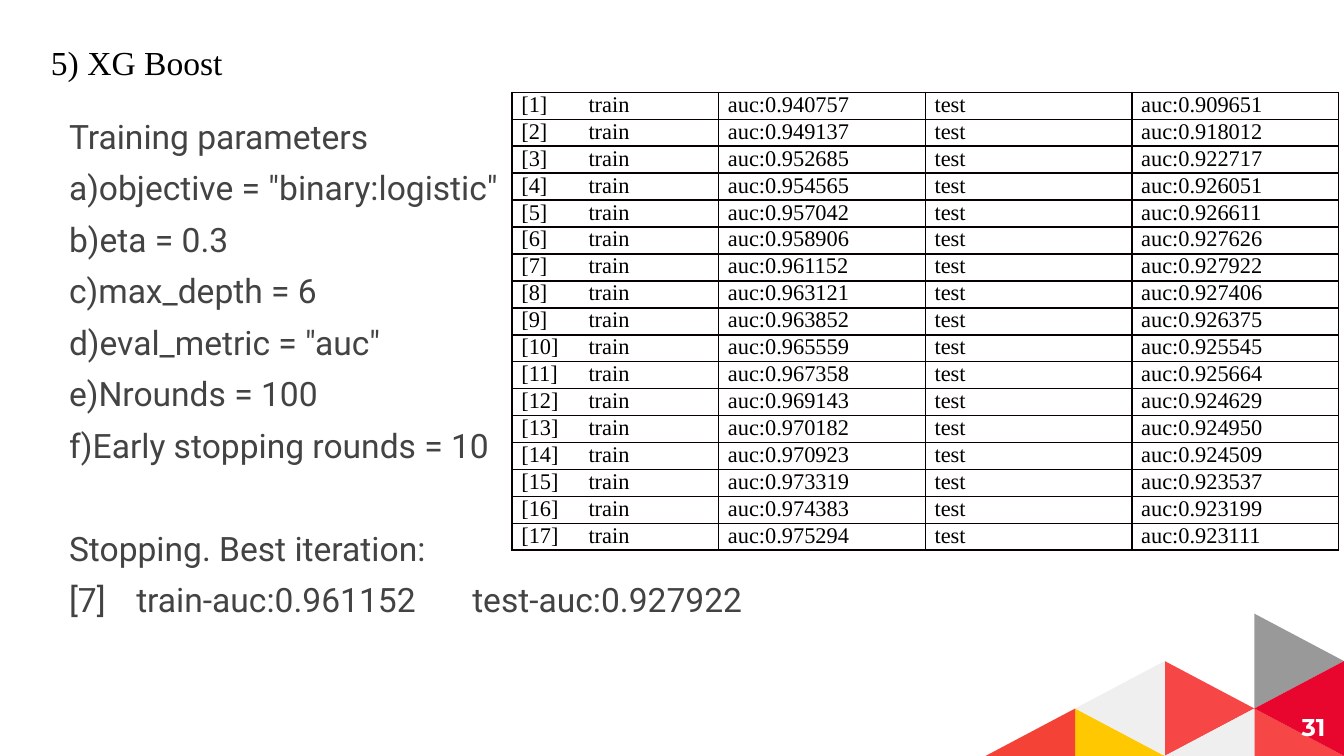
"""Build the boosted-tree training slide."""
from dataclasses import dataclass

import pptx
import pptx.dml.color
import pptx.enum.text
import pptx.oxml
import pptx.oxml.ns
import pptx.util

Pt = pptx.util.Pt
Align = pptx.enum.text.PP_ALIGN
Anchor = pptx.enum.text.MSO_ANCHOR


@dataclass(frozen=True)
class Theme:
    """Colours, fonts and type sizes of the slide."""
    black: str = "000000"
    body: str = "434343"
    white: str = "FFFFFF"
    border: str = "080000"
    gray: str = "999999"
    pale: str = "EFEFEF"
    yellow: str = "FFC800"
    coral: str = "F64646"
    crimson: str = "E8062F"
    red: str = "F44336"
    serif: str = "Times New Roman"
    sans: str = "Roboto"
    number: str = "Montserrat"
    text_size: int = 18
    table_size: int = 12
    number_size: int = 13


THEME = Theme()
WIDTH, HEIGHT = 720, 405
TRIANGLE_WIDTH, TRIANGLE_RISE = 48, 25.4

TRIANGLES = [
    (THEME.gray, [(1, 3), (1, 1), (0, 2)]),
    (THEME.yellow, [(3, 1), (3, 0), (2, 0)]),
    (THEME.coral, [(2, 2), (2, 0), (1, 1)]),
    (THEME.coral, [(1, 1), (1, 0), (0, 0)]),
    (THEME.pale, [(2, 2), (3, 1), (2, 0)]),
    (THEME.pale, [(1, 1), (2, 0), (1, 0)]),
    (THEME.crimson, [(0, 2), (1, 1), (0, 0)]),
    (THEME.red, [(3, 1), (4, 0), (3, 0)]),
]

PARAMETERS = [
    "Training parameters",
    'a)objective = "binary:logistic"',
    "b)eta = 0.3",
    "c)max_depth = 6",
    'd)eval_metric = "auc"',
    "e)Nrounds = 100",
    "f)Early stopping rounds = 10",
]
RESULT = ["Stopping. Best iteration:", "[7]\ttrain-auc:0.961152\ttest-auc:0.927922"]

SCORES = [
    ("0.940757", "0.909651"), ("0.949137", "0.918012"), ("0.952685", "0.922717"),
    ("0.954565", "0.926051"), ("0.957042", "0.926611"), ("0.958906", "0.927626"),
    ("0.961152", "0.927922"), ("0.963121", "0.927406"), ("0.963852", "0.926375"),
    ("0.965559", "0.925545"), ("0.967358", "0.925664"), ("0.969143", "0.924629"),
    ("0.970182", "0.924950"), ("0.970923", "0.924509"), ("0.973319", "0.923537"),
    ("0.974383", "0.923199"), ("0.975294", "0.923111"),
]


def write_text(para, text, *, font, size, color, bold=False, align=Align.LEFT, before=0, indent=0):
    """Write one formatted span into a paragraph."""
    para.alignment = align
    para.space_before = Pt(before)
    properties = para._p.get_or_add_pPr()
    properties.set("marL", str(Pt(indent)))
    properties.set("indent", "0")
    span = para.add_run()
    span.text = text
    span.font.name = font
    span.font.size = Pt(size)
    span.font.bold = bold
    span.font.color.rgb = pptx.dml.color.RGBColor.from_string(color)


def add_box(slide, left, top, width, height, anchor=Anchor.TOP):
    """Add a wrapping text box and return its text frame."""
    box = slide.shapes.add_textbox(Pt(left), Pt(top), Pt(width), Pt(height))
    frame = box.text_frame
    frame.word_wrap = True
    frame.vertical_anchor = anchor
    frame.margin_left = frame.margin_right = Pt(7.2)
    frame.margin_top = frame.margin_bottom = Pt(7.2)
    return frame


def add_triangle(slide, color, corners):
    """Add a triangle whose corners count grid steps from the bottom right."""
    points = [(Pt(WIDTH - column * TRIANGLE_WIDTH), Pt(HEIGHT - level * TRIANGLE_RISE))
              for column, level in corners]
    builder = slide.shapes.build_freeform(*points[0])
    builder.add_line_segments(points[1:], close=True)
    triangle = builder.convert_to_shape()
    triangle.shadow.inherit = False
    triangle.fill.solid()
    triangle.fill.fore_color.rgb = pptx.dml.color.RGBColor.from_string(color)
    triangle.line.fill.background()


def add_borders(cell):
    """Draw a thin line on all four sides of a cell."""
    properties = cell._tc.get_or_add_tcPr()
    for position, side in enumerate(("lnL", "lnR", "lnT", "lnB")):
        properties.insert(position, pptx.oxml.parse_xml(
            f'<a:{side} {pptx.oxml.ns.nsdecls("a")} w="{Pt(1)}"><a:solidFill>'
            f'<a:srgbClr val="{THEME.border}"/></a:solidFill></a:{side}>'))


def add_score_table(slide, left, top, column_width, row_height):
    """Add the table of train and test scores by round."""
    rows = [(f"[{number}]\ttrain", f"auc:{train}", "test", f"auc:{test}")
            for number, (train, test) in enumerate(SCORES, 1)]
    table = slide.shapes.add_table(
        len(rows), len(rows[0]), Pt(left), Pt(top),
        Pt(column_width * len(rows[0])), Pt(row_height * len(rows))).table
    table.first_row = table.horz_banding = False
    for column in table.columns:
        column.width = Pt(column_width)
    for row, texts in zip(table.rows, rows):
        row.height = Pt(row_height)
        for cell, text in zip(row.cells, texts):
            cell.margin_left = cell.margin_right = Pt(5)
            cell.margin_top = cell.margin_bottom = 0
            cell.fill.background()
            add_borders(cell)
            write_text(cell.text_frame.paragraphs[0], text, font=THEME.serif,
                       size=THEME.table_size, color=THEME.black)


def add_parameters(slide):
    """Add the training parameters and, after a gap, the best round."""
    frame = add_box(slide, 20.9, 54.7, 653.8, 316.8)
    for index, text in enumerate(PARAMETERS + RESULT):
        para = frame.add_paragraph() if index else frame.paragraphs[0]
        write_text(para, text, font=THEME.sans, size=THEME.text_size, color=THEME.body,
                   before=33.5 if index == len(PARAMETERS) else 6, indent=9)


def main():
    """Build and save the deck."""
    deck = pptx.Presentation()
    deck.slide_width, deck.slide_height = Pt(WIDTH), Pt(HEIGHT)
    slide = deck.slides.add_slide(deck.slide_layouts[6])
    for color, corners in TRIANGLES:
        add_triangle(slide, color, corners)
    title = add_box(slide, 20.2, 15.1, 653.8, 52.6)
    write_text(title.paragraphs[0], "5) XG Boost", font=THEME.serif,
               size=THEME.text_size, color=THEME.black)
    add_parameters(slide)
    number = add_box(slide, 673.9, 373.7, 43.2, 31, Anchor.MIDDLE)
    write_text(number.paragraphs[0], "31", font=THEME.number, size=THEME.number_size,
               color=THEME.white, bold=True, align=Align.RIGHT)
    add_score_table(slide, 274.3, 49.5, 110.7, 14.4)
    deck.save("out.pptx")


if __name__ == "__main__":
    main()
